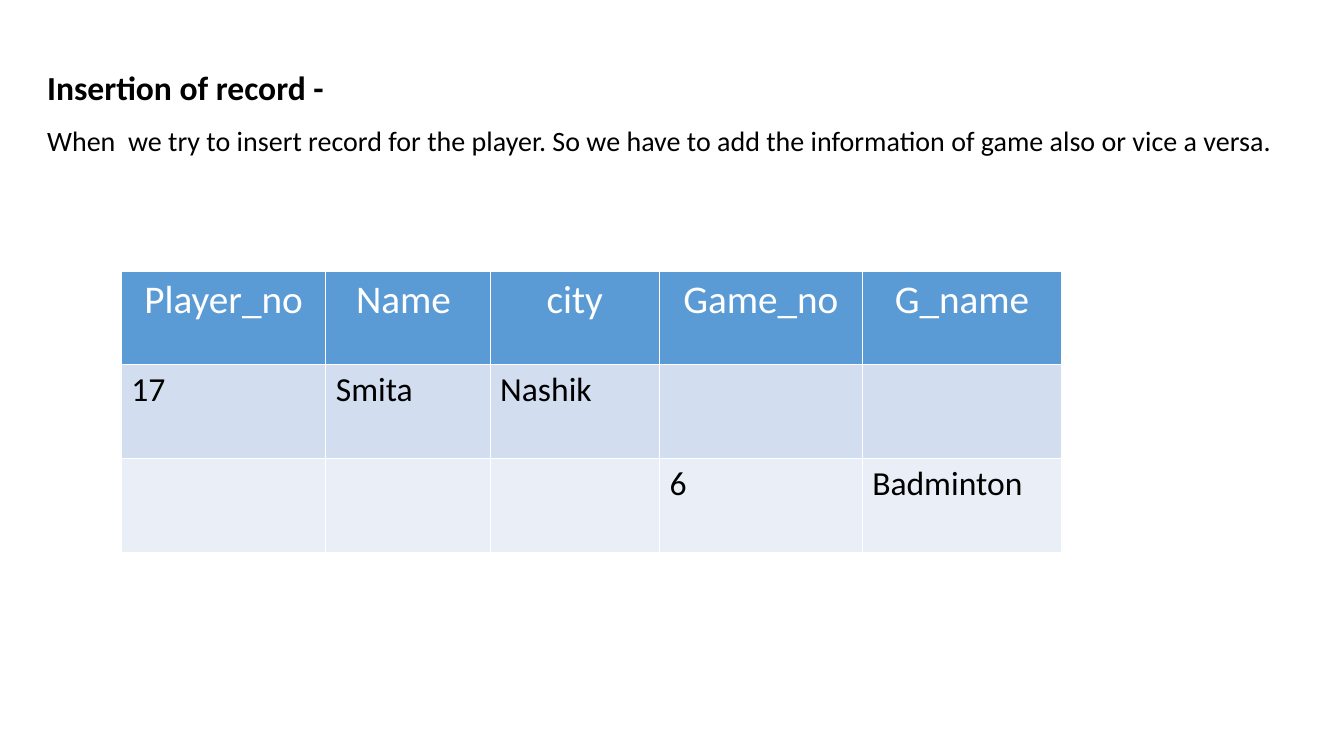
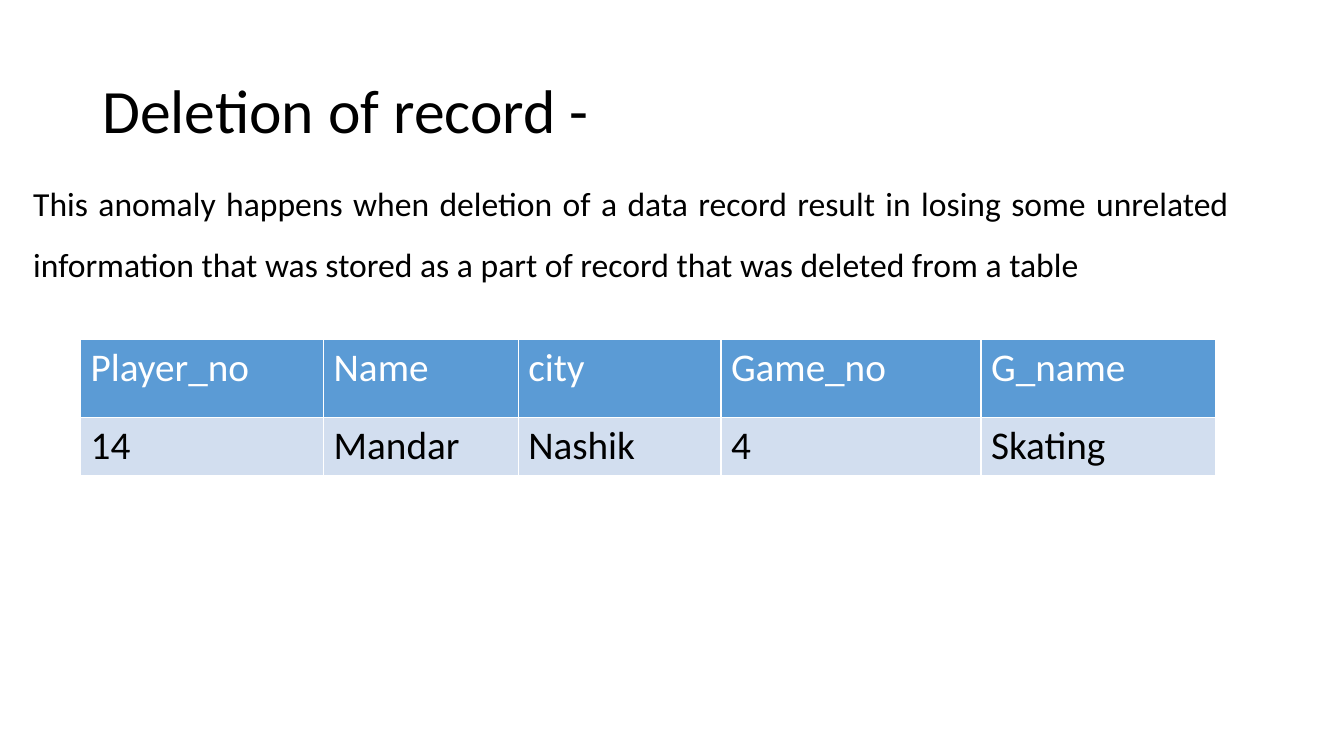
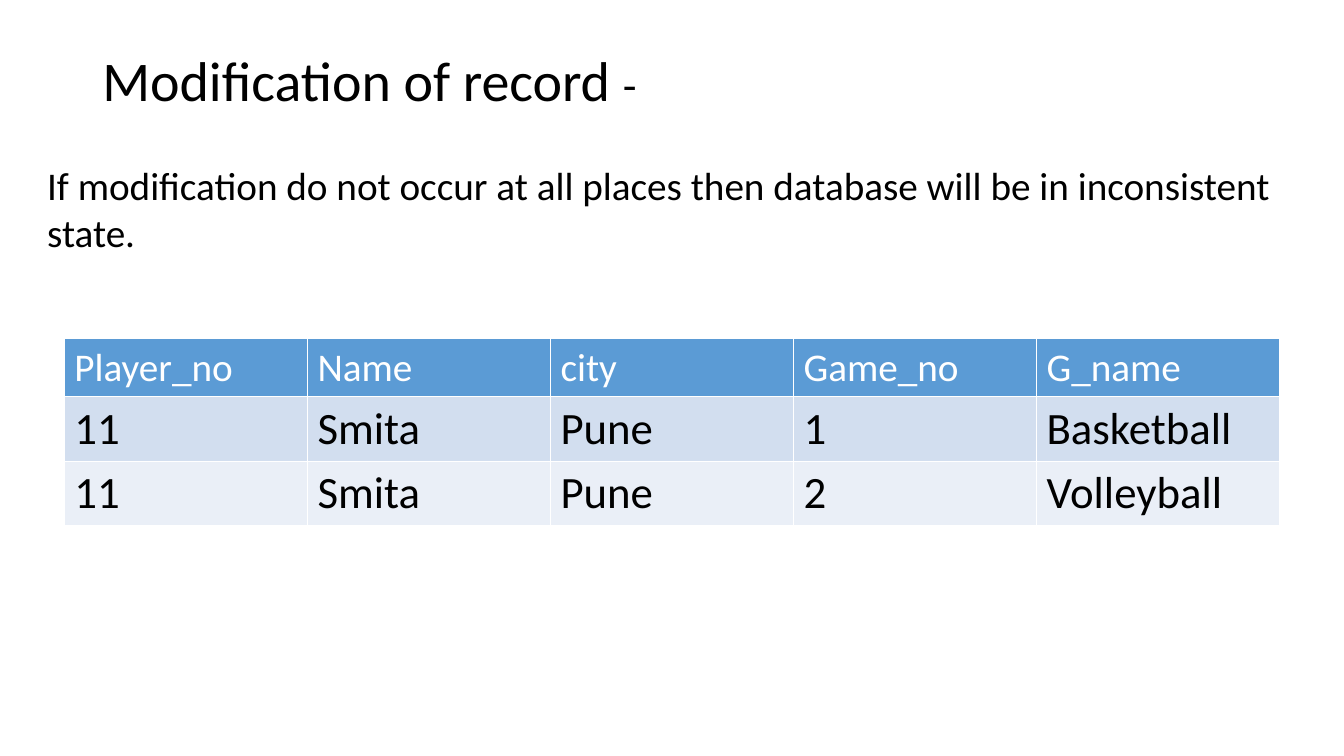
from pptx import Presentation
from pptx.dml.color import RGBColor
from pptx.enum.text import MSO_ANCHOR, PP_ALIGN
from pptx.util import Pt

FONT = "Calibri"
BLACK = RGBColor(0x00, 0x00, 0x00)
WHITE = RGBColor(0xFF, 0xFF, 0xFF)
HEADER_BLUE = RGBColor(0x5B, 0x9B, 0xD5)
BANDS = (RGBColor(0xD2, 0xDE, 0xEF), RGBColor(0xEA, 0xEF, 0xF7))
HEADER_SIZE = 28


def add_text(page, place, paragraphs, align=None, spacing=None, anchor=MSO_ANCHOR.TOP):
    """Add a wrapped box; each paragraph is a list of (text, size, bold) spans."""
    box = page.shapes.add_textbox(*map(Pt, place))
    frame = box.text_frame
    frame.word_wrap = True
    frame.vertical_anchor = anchor
    for index, spans in enumerate(paragraphs):
        para = frame.add_paragraph() if index else frame.paragraphs[0]
        para.alignment = align
        para.line_spacing = spacing
        para.font.name = FONT
        para.font.color.rgb = BLACK
        for text, size, bold in spans:
            span = para.add_run()
            span.text = text
            span.font.size = Pt(size)
            span.font.bold = bold


def add_records(page, left, top, widths, heights, rows, body_size, header_align=None):
    """Add a table with a blue header row and banded records."""
    grid = page.shapes.add_table(
        len(rows), len(widths), Pt(left), Pt(top), Pt(sum(widths)), Pt(sum(heights))
    ).table
    for column, width in zip(grid.columns, widths):
        column.width = Pt(width)
    for index, (row, height, values) in enumerate(zip(grid.rows, heights, rows)):
        is_header = index == 0
        row.height = Pt(height)
        for cell, value in zip(row.cells, values):
            cell.fill.solid()
            cell.fill.fore_color.rgb = HEADER_BLUE if is_header else BANDS[(index - 1) % 2]
            if not value:
                continue
            cell.text = value
            para = cell.text_frame.paragraphs[0]
            para.alignment = header_align if is_header else None
            para.font.name = FONT
            para.font.size = Pt(HEADER_SIZE if is_header else body_size)
            para.font.bold = False
            para.font.color.rgb = WHITE if is_header else BLACK


deck = Presentation()
deck.slide_width = Pt(960)
deck.slide_height = Pt(540)
blank = deck.slide_layouts[6]
insertion, deletion, modification = [deck.slides.add_slide(blank) for _ in range(3)]

# Headings
for page, top, spans in (
    (deletion, 28.8, [("Deletion of record -", 44, False)]),
    (modification, 7.2, [("Modification of record ", 40, False), ("-", 32, False)]),
):
    add_text(page, (66, top, 828, 104.4), [spans], spacing=0.9, anchor=MSO_ANCHOR.MIDDLE)

# Insertion
add_text(
    insertion,
    (26.6, 29.5, 892, 87),
    [
        [("Insertion of record -", 24, True)],
        [("When  we try to insert record for the player. So we have to add "
          "the information of game also or vice a versa.", 20, False)],
    ],
    align=PP_ALIGN.JUSTIFY,
    spacing=1.5,
)
add_records(
    insertion, 86.7, 193.6, [146, 117.4, 121, 144.8, 142.6], [67] * 3,
    [
        ("Player_no", "Name ", "city", "Game_no", "G_name"),
        ("17", "Smita", "Nashik", "", ""),
        ("", "", "", "6", "Badminton"),
    ],
    body_size=24,
    header_align=PP_ALIGN.CENTER,
)

# Deletion
add_records(
    deletion, 57.6, 242.6, [173.6, 139, 144.8, 185.8, 167.2], [55.5, 41.4],
    [
        ("Player_no", "Name", "city", "Game_no", "G_name"),
        ("14", "Mandar", "Nashik", "4", "Skating"),
    ],
    body_size=28,
)
add_text(
    deletion,
    (16.6, 113, 868.3, 141),
    [[("This anomaly happens when deletion of a data record result in losing some "
       "unrelated information that was stored as a part of record that was deleted "
       "from a table", 24, False)]],
    align=PP_ALIGN.JUSTIFY,
    spacing=1.5,
)

# Modification
add_records(
    modification, 46, 241.9, [173.6] * 5, [41.4, 46.2, 46.2],
    [
        ("Player_no", "Name", "city", "Game_no", "G_name"),
        ("11", "Smita", "Pune", "1", "Basketball"),
        ("11", "Smita", "Pune", "2", "Volleyball"),
    ],
    body_size=32,
)
add_text(
    modification,
    (26.6, 111.6, 907, 46.8),
    [[("If modification do not occur at all places then database will be in "
       "inconsistent state.", 28, False)]],
)

deck.save("out.pptx")
